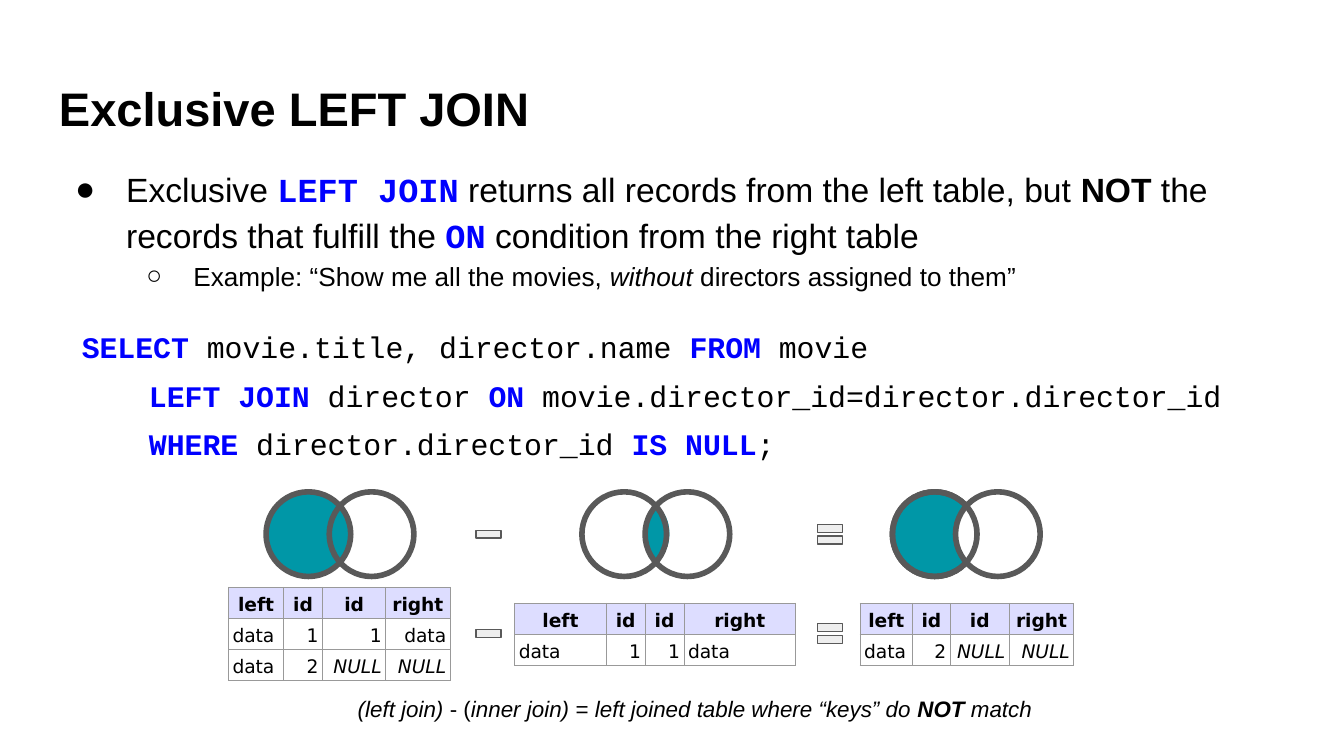
from lxml import etree
from pptx import Presentation
from pptx.dml.color import RGBColor
from pptx.enum.shapes import MSO_SHAPE
from pptx.enum.text import MSO_ANCHOR, PP_ALIGN
from pptx.oxml.ns import qn
from pptx.util import Inches, Pt

OVAL, MOON, TEAR = MSO_SHAPE.OVAL, MSO_SHAPE.MOON, MSO_SHAPE.TEAR
MINUS, EQUAL = MSO_SHAPE.MATH_MINUS, MSO_SHAPE.MATH_EQUAL
LEFT, CENTER, RIGHT = PP_ALIGN.LEFT, PP_ALIGN.CENTER, PP_ALIGN.RIGHT
TOP, MIDDLE, BOTTOM = MSO_ANCHOR.TOP, MSO_ANCHOR.MIDDLE, MSO_ANCHOR.BOTTOM

SLIDE_W = 10
SLIDE_H = SLIDE_W * 9 / 16

COLORS = {
    "text": "000000", "keyword": "0000FF", "teal": "0097A7", "outline": "595959",
    "sign": "EEEEEE", "header": "DDDDFF", "white": "FFFFFF", "border": "999999",
}
# style: (font, color, bold, italic)
STYLES = {
    "plain": ("Arial", "text", False, False),
    "bold": ("Arial", "text", True, False),
    "italic": ("Arial", "text", False, True),
    "strong": ("Arial", "text", True, True),
    "code": ("Courier New", "text", False, False),
    "keyword": ("Courier New", "keyword", True, False),
    "head": ("DejaVu Sans", "text", True, False),
    "cell": ("DejaVu Sans", "text", False, False),
    "null": ("DejaVu Sans", "text", False, True),
}

TITLE = [("Exclusive LEFT JOIN", "bold")]
BULLET = [
    ("Exclusive ", "plain"), ("LEFT JOIN", "keyword"),
    (" returns all records from the left table, but ", "plain"), ("NOT", "bold"),
    (" the records that fulfill the ", "plain"), ("ON", "keyword"),
    (" condition from the right table", "plain"),
]
EXAMPLE = [
    ("Example: “Show me all the movies, ", "plain"), ("without", "italic"),
    (" directors assigned to them”", "plain"),
]
QUERY = [
    [("SELECT", "keyword"), (" movie.title, director.name ", "code"),
     ("FROM", "keyword"), (" movie", "code")],
    [("LEFT JOIN ", "keyword"), ("director ", "code"), ("ON", "keyword"),
     (" movie.director_id=director.director_id", "code")],
    [("WHERE ", "keyword"), ("director.director_id ", "code"),
     ("IS NULL", "keyword"), (";", "code")],
]
CAPTION = [
    ("(left join)", "italic"), (" - (", "plain"), ("inner join) ", "italic"),
    ("= ", "plain"), ("left joined table where “keys” do ", "italic"),
    ("NOT ", "strong"), ("match", "italic"),
]

HEADER = ["left", "id", "id", "right"]
# left, top, column widths, alignment of the last column, data rows
TABLES = [
    (3.83, 4.49, [0.68, 0.29, 0.29, 0.83], LEFT, [["data", "1", "1", "data"]]),
    (6.4, 4.49, [0.39, 0.28, 0.44, 0.48], RIGHT, [["data", "2", "NULL", "NULL"]]),
    (1.7, 4.37, [0.41, 0.29, 0.47, 0.48], RIGHT,
     [["data", "1", "1", "data"], ["data", "2", "NULL", "NULL"]]),
]
ROW_H = 0.23

CIRCLE, CIRCLE_Y, CIRCLE_STEP = 0.63, 3.66, 0.47
# left edge, then (circle index, fill) from back to front
VENNS = [
    (1.98, [(0, "teal"), (1, None)]),
    (6.64, [(0, "teal"), (1, "white"), (0, None)]),
    (4.33, [(0, None), (1, None)]),
]
# shape, box, rotation, adjustment
LENS = [
    (TEAR, (4.84, 3.8, 0.07, 0.07), 315, 1.07),
    (TEAR, (4.84, 4.08, 0.07, 0.07), 135, 1.07),
    (MOON, (4.81, 3.8, 0.09, 0.34), 0, 0.875),
    (MOON, (4.87, 3.8, 0.09, 0.34), 180, 0.875),
]
SIGN, SIGN_ROWS = 0.25, [3.85, 4.59]
SIGNS = [(EQUAL, 6.05, [0.235, 0.118]), (MINUS, 3.51, [0.235])]


def rgb(name):
    return RGBColor.from_string(COLORS[name])


def write(p, runs, size, spacing=None, align=LEFT):
    p.alignment = align
    if spacing:
        p.line_spacing = spacing
    for text, style in runs:
        r = p.add_run()
        r.text = text
        r.font.size = Pt(size)
        r.font.name, color, r.font.bold, r.font.italic = STYLES[style]
        r.font.color.rgb = rgb(color)


def indent(p, left, first, bullet=None):
    pPr = p._p.get_or_add_pPr()
    pPr.set("marL", str(Inches(left)))
    pPr.set("indent", str(Inches(first)))
    if bullet:
        etree.SubElement(pPr, qn("a:buFont"), typeface="Arial")
        etree.SubElement(pPr, qn("a:buChar"), char=bullet)


def add_box(left, top, width, height, count=1, anchor=TOP):
    """Add a text box and return its paragraphs."""
    tf = slide.shapes.add_textbox(*map(Inches, (left, top, width, height))).text_frame
    tf.word_wrap = True
    tf.vertical_anchor = anchor
    tf.margin_left = tf.margin_right = tf.margin_top = tf.margin_bottom = Inches(0.1)
    for _ in range(count - 1):
        tf.add_paragraph()
    return tf.paragraphs


def add_shape(kind, box, fill=None, line="outline", weight=3, rotation=0, adjust=()):
    s = slide.shapes.add_shape(kind, *map(Inches, box))
    s.shadow.inherit = False
    s.rotation = rotation
    for i, value in enumerate(adjust):
        s.adjustments[i] = value
    if fill:
        s.fill.solid()
        s.fill.fore_color.rgb = rgb(fill)
    else:
        s.fill.background()
    s.line.color.rgb = rgb(line)
    s.line.width = Pt(weight)


def fill_cell(cell, text, style, align, fill):
    tcPr = cell._tc.get_or_add_tcPr()
    for side in ("lnL", "lnR", "lnT", "lnB"):
        ln = etree.SubElement(tcPr, qn(f"a:{side}"), w=str(Pt(0.6)))
        solid = etree.SubElement(ln, qn("a:solidFill"))
        etree.SubElement(solid, qn("a:srgbClr"), val=COLORS["border"])
    cell.fill.solid()
    cell.fill.fore_color.rgb = rgb(fill)
    cell.vertical_anchor = BOTTOM
    cell.margin_left = cell.margin_right = Inches(0.03)
    cell.margin_top = cell.margin_bottom = Inches(0.02)
    write(cell.text_frame.paragraphs[0], [(text, style)], 10, 1.15, align)


def add_join_table(left, top, widths, last_align, data):
    rows = [HEADER] + data
    box = (left, top, sum(widths), ROW_H * len(rows))
    table = slide.shapes.add_table(len(rows), len(widths), *map(Inches, box)).table
    for column, width in zip(table.columns, widths):
        column.width = Inches(width)
    aligns = [LEFT, RIGHT, RIGHT, last_align]
    for i, row in enumerate(rows):
        table.rows[i].height = Inches(ROW_H)
        for j, text in enumerate(row):
            if i == 0:
                look = ("head", CENTER, "header")
            else:
                look = ("null" if text == "NULL" else "cell", aligns[j], "white")
            fill_cell(table.cell(i, j), text, *look)


prs = Presentation()
prs.slide_width, prs.slide_height = Inches(SLIDE_W), Inches(SLIDE_H)
slide = prs.slides.add_slide(prs.slide_layouts[6])

write(add_box(0.34, 0.49, 9.32, 0.63, anchor=MIDDLE)[0], TITLE, 25.2)

bullet, example = add_box(0.34, 1.11, 9.32, 1.13, 2)
indent(bullet, 0.5, -0.38, "●")
write(bullet, BULLET, 18, 1.15)
example.level = 1
indent(example, 1, -0.35, "○")
write(example, EXAMPLE, 14, 1.15)

for i, p in enumerate(add_box(0.51, 2.25, 9.32, 1.2, len(QUERY))):
    indent(p, 0, 0.5 if i else 0)
    write(p, QUERY[i], 16, 1.36)

for table_spec in TABLES:
    add_join_table(*table_spec)

for kind, box, rotation, adjustment in LENS:
    add_shape(kind, box, "teal", "teal", rotation=rotation, adjust=[adjustment])
for left, circles in VENNS:
    for index, fill in circles:
        add_shape(OVAL, (left + index * CIRCLE_STEP, CIRCLE_Y, CIRCLE, CIRCLE), fill)

for kind, left, adjust in SIGNS:
    for top in SIGN_ROWS:
        add_shape(kind, (left, top, SIGN, SIGN), "sign", weight=0.75, adjust=adjust)

write(add_box(0.17, 5.07, 10, 0.4)[0], CAPTION, 12, align=CENTER)

prs.save("out.pptx")
